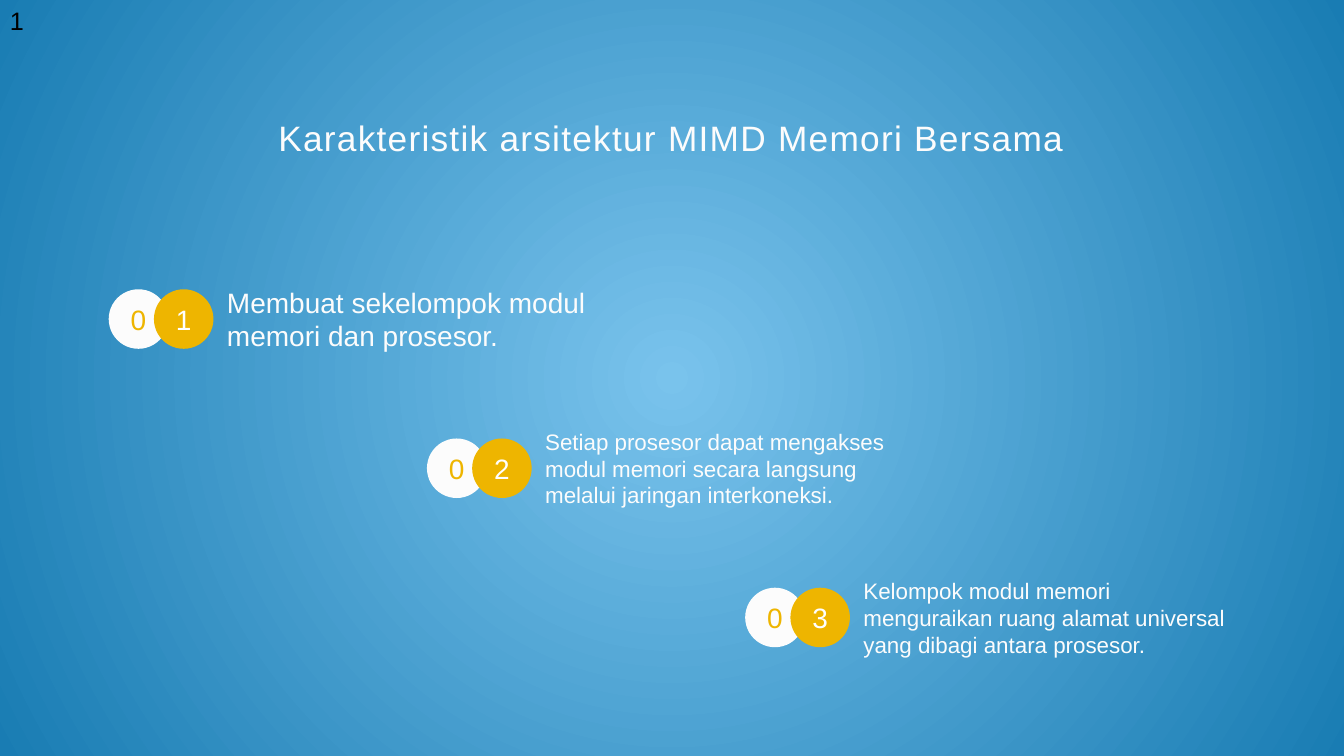
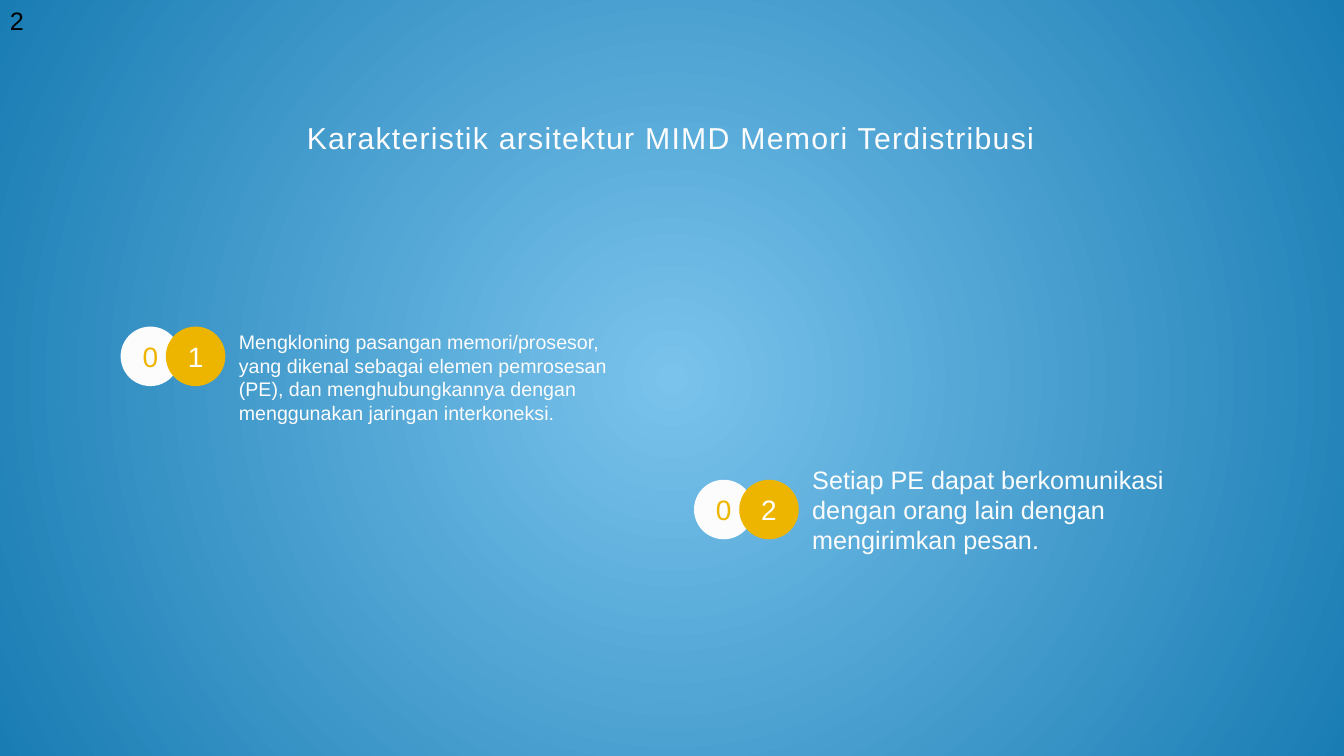
import pptx
import pptx.util
import pptx.dml.color
import pptx.enum.shapes
import pptx.enum.text
import pptx.oxml
import pptx.oxml.ns

Cm = pptx.util.Cm
Pt = pptx.util.Pt
RGBColor = pptx.dml.color.RGBColor
OVAL = pptx.enum.shapes.MSO_SHAPE.OVAL
MID = pptx.enum.text.MSO_ANCHOR.MIDDLE
ALIGN = pptx.enum.text.PP_ALIGN
FIT = pptx.enum.text.MSO_AUTO_SIZE.SHAPE_TO_FIT_TEXT

SKY = RGBColor(0x79, 0xC3, 0xEC)
SEA = RGBColor(0x19, 0x7C, 0xB3)
PALE = RGBColor(0xFC, 0xFC, 0xFC)
GOLD = RGBColor(0xEE, 0xB5, 0x00)
WHITE = RGBColor(0xFF, 0xFF, 0xFF)
BLACK = RGBColor(0x00, 0x00, 0x00)

# Frame formats: title, circles, body text, page number
HEAD = {"word_wrap": True, "vertical_anchor": MID}
DISC = {"word_wrap": True, "vertical_anchor": MID}
TIGHT = {**DISC, "margin_left": 0, "margin_right": 0,
         "margin_top": 0, "margin_bottom": 0}
BODY = {**TIGHT, "margin_left": Cm(0.15)}
PAGE = {"word_wrap": False, "auto_size": FIT}

# Per slide: title, title size, first item, step, items (text, size, width, height)
DECK = [
    ("Karakteristik arsitektur MIMD Memori Bersama", 25.2,
     (2.74, 7.29), (8.02, 3.76), [
         ("Membuat sekelompok modul memori dan prosesor.", 20, 9.53, 2.21),
         ("Setiap prosesor dapat mengakses modul memori secara langsung "
          "melalui jaringan interkoneksi.", 16, 9.53, 2.21),
         ("Kelompok modul memori menguraikan ruang alamat universal "
          "yang dibagi antara prosesor.", 16, 9.53, 2.21)]),
    ("Karakteristik arsitektur MIMD Memori Terdistribusi", 21.6,
     (3.04, 8.23), (14.45, 3.86), [
         ("Mengkloning pasangan memori/prosesor, yang dikenal sebagai "
          "elemen pemrosesan (PE), dan menghubungkannya dengan "
          "menggunakan jaringan interkoneksi.", 14, 10.31, 3.28),
         ("Setiap PE dapat berkomunikasi dengan orang lain dengan "
          "mengirimkan pesan.", 18, 9.53, 2.21)]),
]


def write(shape, text, size, color, form, align=ALIGN.LEFT):
    frame = shape.text_frame
    for name, value in form.items():
        setattr(frame, name, value)
    para = frame.paragraphs[0]
    para.alignment = align
    run = para.add_run()
    run.text = text
    run.font.name = "Arial"
    run.font.size = Pt(size)
    run.font.color.rgb = color
    return run


prs = pptx.Presentation()
prs.slide_width, prs.slide_height = Cm(33.87), Cm(19.05)

# Shared radial background on the master
master = prs.slide_master
fill = master.background.fill
fill.gradient()
for stop, color in zip(fill.gradient_stops, (SKY, SEA)):
    stop.color.rgb = color
line = master.element.find(".//" + pptx.oxml.ns.qn("a:lin"))
line.getparent().replace(line, pptx.oxml.parse_xml(
    '<a:path %s path="circle"><a:fillToRect l="50000" t="50000" '
    'r="50000" b="50000"/></a:path>' % pptx.oxml.ns.nsdecls("a")))

for page, (title, size, start, step, items) in enumerate(DECK, 1):
    slide = prs.slides.add_slide(prs.slide_layouts[6])

    # Title
    box = slide.shapes.add_textbox(Cm(6.55), Cm(2.34), Cm(20.73), Cm(2.24))
    run = write(box, title, size, PALE, HEAD, ALIGN.CENTER)
    run.font.size = Pt(size)
    run._r.get_or_add_rPr().set("spc", "90")

    # Numbered items stepping down to the right
    for i, (text, size, width, height) in enumerate(items):
        left, top = (a + i * b for a, b in zip(start, step))
        group = slide.shapes.add_group_shape().shapes
        discs = [("0", 0, PALE, GOLD, TIGHT),
                 (str(i + 1), 1.14, GOLD, WHITE, DISC)]
        for digit, shift, back, ink, form in discs:
            disc = group.add_shape(OVAL, Cm(left + shift), Cm(top),
                                   Cm(1.5), Cm(1.5))
            disc.shadow.inherit = False
            disc.fill.solid()
            disc.fill.fore_color.rgb = back
            disc.line.fill.background()
            write(disc, digit, 20, ink, form, ALIGN.CENTER)
        box = group.add_textbox(Cm(left + 2.83), Cm(top - 0.36),
                                Cm(width), Cm(height))
        write(box, text, size, PALE, BODY)

    # Page number
    box = slide.shapes.add_textbox(0, 0, Cm(0.86), Cm(1.02))
    write(box, str(page), 18, BLACK, PAGE)

prs.save("out.pptx")
